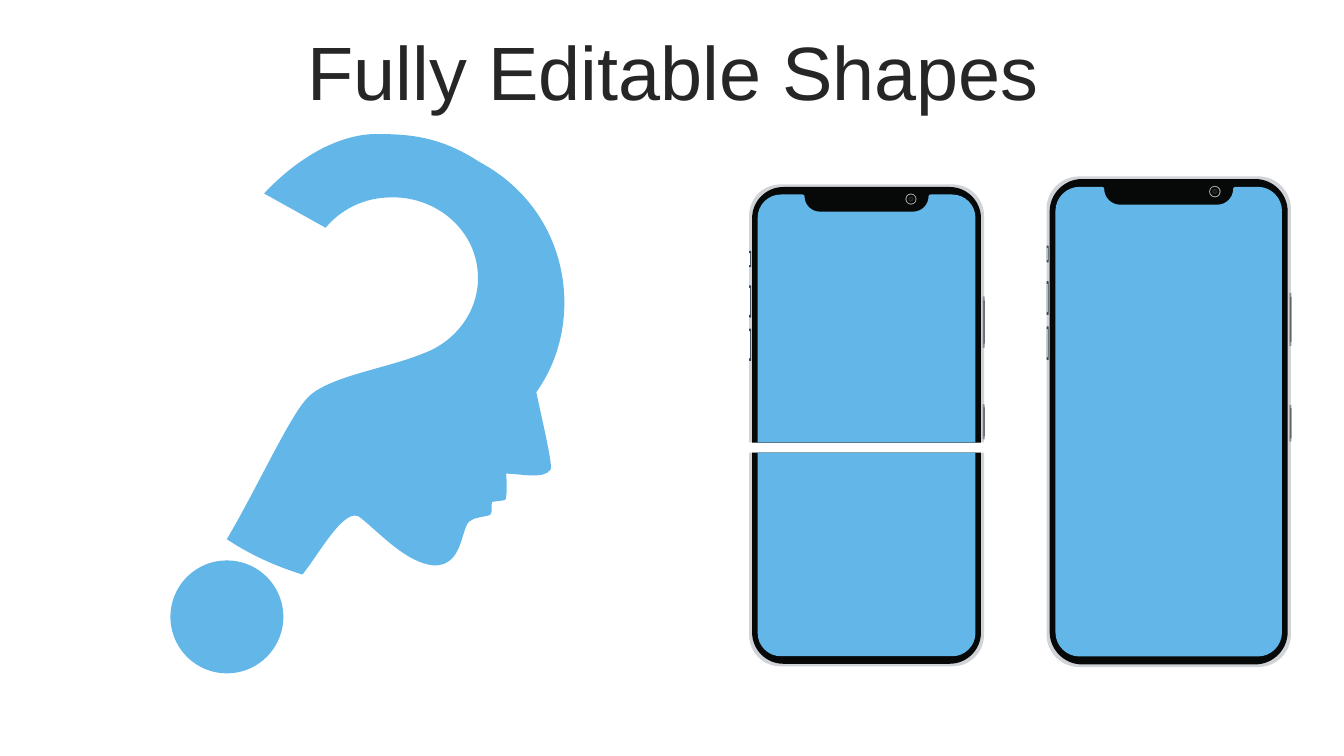
import math

import pptx
import pptx.dml.color
import pptx.enum.shapes
import pptx.enum.text
import pptx.oxml.ns
import pptx.util

COLUMNS, ROWS = 1333, 750  # one grid cell is a hundredth of an inch
CELL = pptx.util.Inches(0.01)

SKY = pptx.dml.color.RGBColor(0x62, 0xB7, 0xE8)
INK = pptx.dml.color.RGBColor(0x26, 0x26, 0x26)
SILVER = pptx.dml.color.RGBColor(0xD0, 0xD4, 0xD8)
BLACK = pptx.dml.color.RGBColor(0x07, 0x08, 0x08)
SLATE = pptx.dml.color.RGBColor(0x36, 0x45, 0x51)
GLINT = pptx.dml.color.RGBColor(0xFA, 0xFD, 0xFF)
STEEL = pptx.dml.color.RGBColor(0x8A, 0x90, 0x96)
GRAPHITE = pptx.dml.color.RGBColor(0x4A, 0x4C, 0x4D)
GREY = pptx.dml.color.RGBColor(0xA6, 0xA6, 0xA6)
NAVY = pptx.dml.color.RGBColor(0x08, 0x14, 0x22)

PHONE_WIDTH = 233
# side inset, end inset, corner radius, colour
LAYERS = [(0, 0, 31, SILVER), (3, 2.5, 31, BLACK), (8.5, 10, 23, SKY)]
NOTCH = [(55, 10, 2), (55, 27, 15), (178, 27, 15), (178, 10, 2)]
# left, top, width, height, colour
BUTTONS = [
    (0, 66, 2, 16, SLATE), (0, 68, 1, 12, GLINT),
    (0, 100, 2, 32, SLATE), (0, 102.5, 1, 27, GLINT),
    (0, 143, 2, 32, SLATE), (0, 145.5, 1, 27, GLINT),
    (231.5, 111, 2, 51, STEEL), (232.5, 115, 1, 43, GRAPHITE),
    (231.5, 218, 2, 35, STEEL), (232.5, 221, 1, 29, GRAPHITE),
]
LENS_RINGS = [(11, GREY), (9, BLACK), (5, INK), (2, NAVY)]
LENS_CENTRE = (160.5, 14.5)

# Pairs are corners; six numbers are two curve handles and an end point
HEAD = [
    (370, 133), (403, 133, 435, 134, 476, 161), (567, 210, 581, 321, 532, 389),
    (537, 414, 549, 463, 546, 466), (539, 476, 517, 470, 502, 470),
    (503, 479, 503, 494, 501, 496), (498, 497, 493, 497, 488, 498),
    (487, 502, 489, 509, 486, 511), (480, 513, 471, 513, 466, 517),
    (457, 523, 460, 562, 430, 561), (403, 558, 379, 531, 358, 514),
    (343, 500, 317, 549, 300, 570), (271, 561, 246, 549, 225, 535),
    (254, 486, 285, 418, 303, 397), (321, 374, 383, 366, 419, 351),
    (453, 339, 476, 307, 474, 272), (472, 227, 431, 193, 384, 196),
    (359, 197, 337, 209, 323, 226), (262, 192), (291, 161, 330, 135, 370, 133),
]


def toward(start, end, distance):
    share = distance / math.dist(start, end)
    return tuple(a + (b - a) * share for a, b in zip(start, end))


def round_corners(corners):
    """Turn (x, y, radius) corners into an outline of lines and curves."""
    outline = []
    for index, (x, y, radius) in enumerate(corners):
        tip = (x, y)
        if not radius:
            outline.append(tip)
            continue
        before = corners[index - 1][:2]
        after = corners[(index + 1) % len(corners)][:2]
        outline.append(toward(tip, before, radius))
        outline.append(toward(tip, before, radius * 0.45)
                       + toward(tip, after, radius * 0.45)
                       + toward(tip, after, radius))
    return outline


class Page:
    def __init__(self, deck, font):
        self.font = font
        self.shapes = deck.slides.add_slide(deck.slide_layouts[6]).shapes

    def paint(self, shape, colour):
        shape.shadow.inherit = False
        shape.fill.solid()
        shape.fill.fore_color.rgb = colour
        shape.line.fill.background()
        return shape

    def title(self, text, left, top, width, height, size):
        box = self.shapes.add_textbox(*(round(n * CELL) for n in (left, top, width, height)))
        frame = box.text_frame
        frame.word_wrap = True
        frame.vertical_anchor = pptx.enum.text.MSO_ANCHOR.MIDDLE
        para = frame.paragraphs[0]
        para.text = text
        para.alignment = pptx.enum.text.PP_ALIGN.CENTER
        para.line_spacing = 0.9
        para.font.name = self.font
        para.font.size = pptx.util.Pt(size)
        para.font.color.rgb = INK

    def circle(self, centre_x, centre_y, diameter, colour):
        left, top = centre_x - diameter / 2, centre_y - diameter / 2
        frame = (round(n * CELL) for n in (left, top, diameter, diameter))
        oval = self.shapes.add_shape(pptx.enum.shapes.MSO_SHAPE.OVAL, *frame)
        return self.paint(oval, colour)

    def outline(self, steps, colour, origin=(0, 0), scale=1):
        points = [(round((origin[0] + step[i] * scale) * CELL),
                   round((origin[1] + step[i + 1] * scale) * CELL))
                  for step in steps for i in range(0, len(step), 2)]
        builder = self.shapes.build_freeform(*points[0])
        builder.add_line_segments(points[1:], close=True)
        shape = builder.convert_to_shape()
        segments = iter(list(shape.element.iter(pptx.oxml.ns.qn("a:lnTo"))))
        for step in steps[1:]:
            segment = next(segments)
            if len(step) == 6:  # merge three segments into one curve
                segment.tag = pptx.oxml.ns.qn("a:cubicBezTo")
                for extra in (next(segments), next(segments)):
                    segment.append(extra[0])
                    extra.getparent().remove(extra)
        return self.paint(shape, colour)

    def phone_body(self, origin, scale, top, bottom, round_top=True, round_bottom=True):
        """Draw shell, bezel and screen; an end that is not round is a flat cut."""
        parts = []
        for side, end, radius, colour in LAYERS:
            upper = top + end * round_top
            lower = bottom - end * round_bottom
            right = PHONE_WIDTH - side
            notch = NOTCH if colour == SKY and round_top else []
            corners = [(side, upper, radius * round_top), *notch,
                       (right, upper, radius * round_top),
                       (right, lower, radius * round_bottom),
                       (side, lower, radius * round_bottom)]
            parts.append(self.outline(round_corners(corners), colour, origin, scale))
        return parts

    def phone_details(self, origin, scale):
        parts = []
        for left, top, width, height, colour in BUTTONS:
            right, bottom = left + width, top + height
            corners = [(left, top, 0.4), (right, top, 0.4),
                       (right, bottom, 0.4), (left, bottom, 0.4)]
            parts.append(self.outline(round_corners(corners), colour, origin, scale))
        x, y = (start + offset * scale for start, offset in zip(origin, LENS_CENTRE))
        return parts + [self.circle(x, y, size * scale, colour)
                        for size, colour in LENS_RINGS]

    def group(self, parts):
        self.shapes.add_group_shape(parts)


def main():
    deck = pptx.Presentation()
    deck.slide_width, deck.slide_height = COLUMNS * CELL, ROWS * CELL
    page = Page(deck, "Arial")
    page.title("Fully Editable Shapes", 35, 36, 1266, 79, 54)

    split, whole = (743, 183), (1038, 175)
    page.group(page.phone_body(split, 1, 0, 256, round_bottom=False)
               + page.phone_details(split, 1))
    page.group(page.phone_body(split, 1, 266, 478, round_top=False))
    page.group(page.phone_body(whole, 1.04, 0, 468) + page.phone_details(whole, 1.04))
    page.group([page.outline(HEAD, SKY), page.circle(225, 612, 112, SKY)])
    deck.save("out.pptx")


if __name__ == "__main__":
    main()
